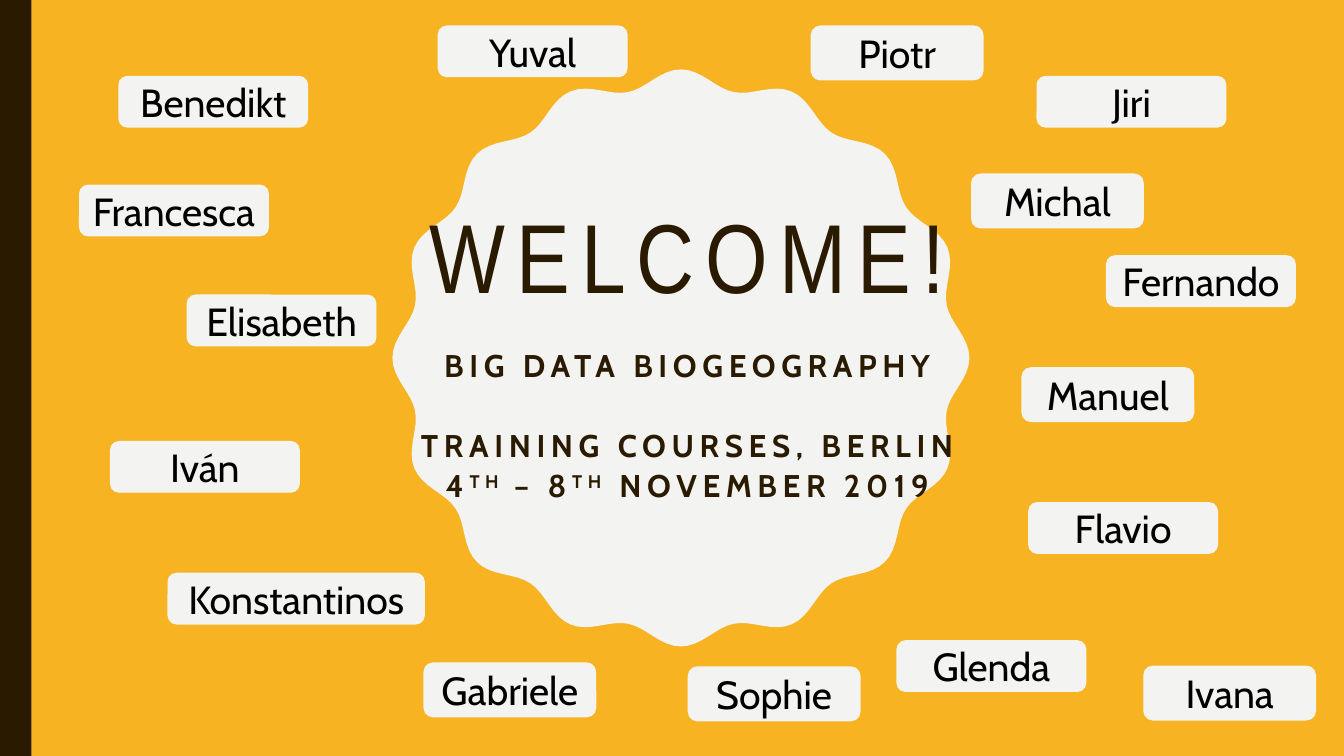
import math
import pptx
import pptx.util
import pptx.dml.color
import pptx.enum.shapes
import pptx.enum.text

Cm = pptx.util.Cm
Pt = pptx.util.Pt
SHAPE = pptx.enum.shapes.MSO_SHAPE
ANCHOR = pptx.enum.text.MSO_ANCHOR
CENTER = pptx.enum.text.PP_ALIGN.CENTER

COLORS = {"gold": "F8B323", "brown": "2A1A00", "pale": "F3F3F2", "black": "000000"}

WIDE = (4.75, 1.27)
LONG = (6.45, 1.27)
TALL = (4.32, 1.35)
NAMES = [
    ("Benedikt", 3, 1.93, WIDE),
    ("Francesca", 2.01, 4.67, WIDE),
    ("Elisabeth", 4.72, 7.44, WIDE),
    ("Fernando", 27.89, 6.45, WIDE),
    ("Iván", 2.79, 11.13, WIDE),
    ("Flavio", 25.93, 12.67, WIDE),
    ("Glenda", 22.61, 16.15, WIDE),
    ("Konstantinos", 4.24, 14.45, LONG),
    ("Yuval", 11.05, 0.66, WIDE),
    ("Jiri", 26.14, 1.93, WIDE),
    ("Manuel", 25.76, 9.27, TALL),
    ("Sophie", 17.35, 16.81, TALL),
    ("Ivana", 28.83, 16.79, TALL),
    ("Michal", 24.49, 4.39, TALL),
    ("Piotr", 20.45, 0.66, TALL),
    ("Gabriele", 10.69, 16.71, TALL),
]


def color(key):
    return pptx.dml.color.RGBColor.from_string(COLORS[key])


def paint(shape, key):
    shape.shadow.inherit = False
    shape.fill.solid()
    shape.fill.fore_color.rgb = color(key)
    shape.line.fill.background()


def style(run, face, size, key, bold=False, gap=0):
    run.font.name = face
    run.font.size = Pt(size)
    run.font.bold = bold
    run.font.color.rgb = color(key)
    if gap:
        run.font._element.set("spc", str(gap * 100))


def place(shape, left, top, width, height):
    shape.left, shape.top = Cm(left), Cm(top)
    shape.width, shape.height = Cm(width), Cm(height)


def add_badge(slide, x, y, radius, wave, lobes):
    count = lobes * 16
    points = []
    for step in range(count):
        turn = 2 * math.pi * step / count
        reach = radius + wave * math.cos(lobes * turn)
        points.append((Cm(x + reach * math.sin(turn)), Cm(y - reach * math.cos(turn))))
    outline = slide.shapes.build_freeform(*points[0], scale=1.0)
    outline.add_line_segments(points[1:], close=True)
    paint(outline.convert_to_shape(), "pale")


def add_bar(slide, width, height):
    bar = slide.shapes.add_shape(SHAPE.RECTANGLE, 0, 0, Cm(width), height)
    paint(bar, "brown")


def set_title(slide):
    title = slide.shapes.title
    slide.shapes._spTree.append(title._element)
    place(title, 3, 0.48, 28.65, 12.22)
    frame = title.text_frame
    frame.text = "WELCOME!"
    frame.auto_size = pptx.enum.text.MSO_AUTO_SIZE.NONE
    frame.vertical_anchor = ANCHOR.MIDDLE
    line = frame.paragraphs[0]
    line.alignment = CENTER
    line.line_spacing = 0.9
    style(line.runs[0], "Arial Narrow", 70, "brown", gap=8)


def set_topic(slide):
    topic = slide.placeholders[1]
    slide.shapes._spTree.append(topic._element)
    place(topic, 6.15, 8.79, 22.35, 4.17)
    frame = topic.text_frame
    frame.text = "BIG DATA BIOGEOGRAPHY\nTRAINING COURSES, BERLIN\n4"
    frame.auto_size = pptx.enum.text.MSO_AUTO_SIZE.NONE
    frame.vertical_anchor = ANCHOR.TOP
    for text in ("TH ", "– 8", "TH", " NOVEMBER 2019"):
        run = frame.paragraphs[2].add_run()
        run.text = text
        if text.startswith("TH"):
            run.font._element.set("baseline", "30000")
    for line, before in zip(frame.paragraphs, (0, 35.5, 7)):
        line.alignment = CENTER
        line.line_spacing = 0.8
        line.space_before = Pt(before)
        for run in line.runs:
            style(run, "Cabin", 22.4, "brown", True, 4)


def add_name(slide, name, left, top, size):
    tag = slide.shapes.add_shape(SHAPE.ROUNDED_RECTANGLE, 0, 0, 0, 0)
    place(tag, left, top, *size)
    paint(tag, "pale")
    tag.line.color.rgb = color("pale")
    tag.line.width = Pt(1)
    frame = tag.text_frame
    frame.text = name
    frame.word_wrap = False
    frame.vertical_anchor = ANCHOR.MIDDLE
    line = frame.paragraphs[0]
    line.alignment = CENTER
    style(line.runs[0], "Cabin", 28, "black")


def main():
    deck = pptx.Presentation()
    deck.slide_width, deck.slide_height = Cm(33.87), Cm(19.05)
    slide = deck.slides.add_slide(deck.slide_layouts[0])
    slide.background.fill.solid()
    slide.background.fill.fore_color.rgb = color("gold")
    add_badge(slide, 17.16, 9.02, 7.05, 0.22, 16)
    add_bar(slide, 0.79, deck.slide_height)
    set_title(slide)
    set_topic(slide)
    for entry in NAMES:
        add_name(slide, *entry)
    deck.save("out.pptx")


if __name__ == "__main__":
    main()
